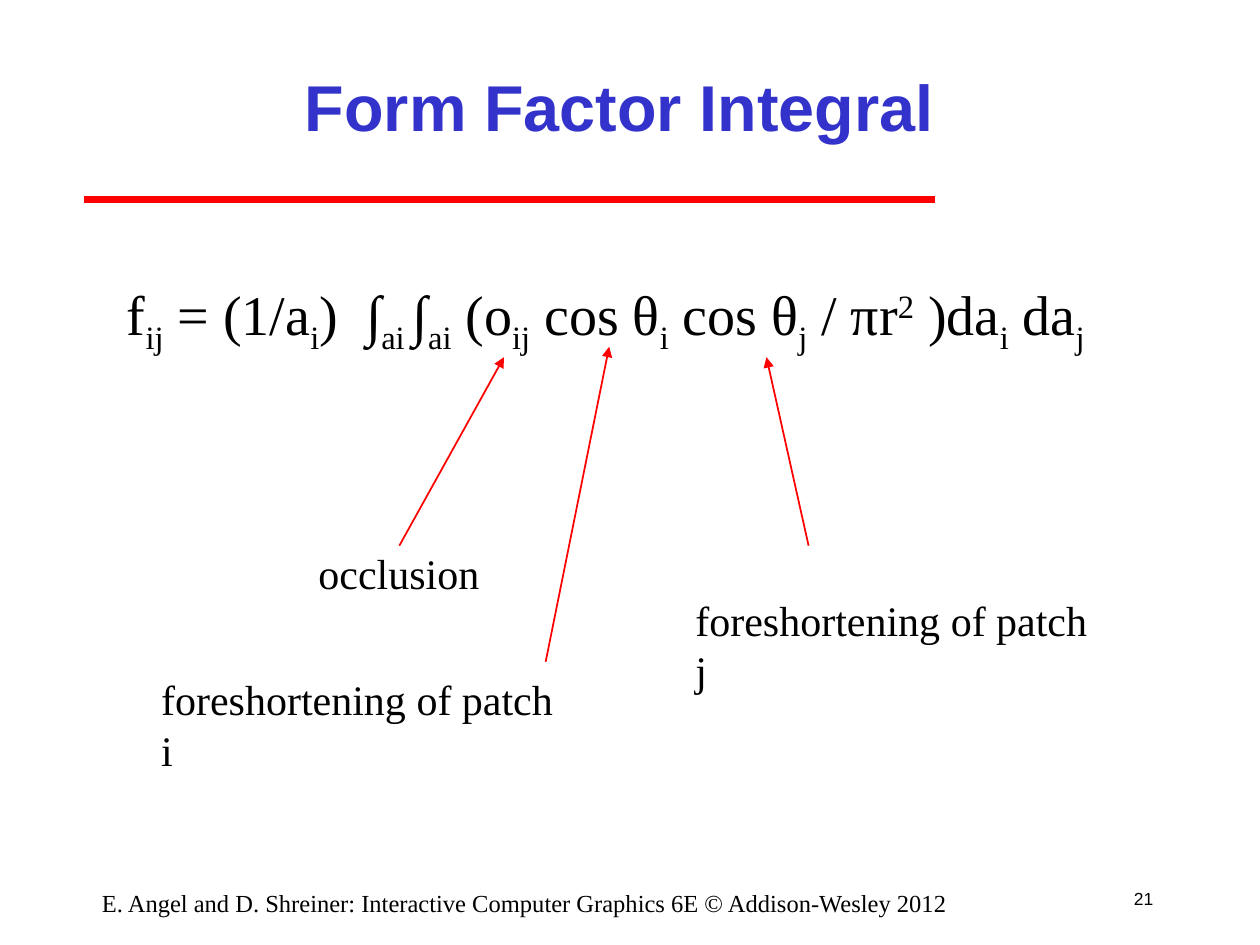
from lxml.etree import SubElement
from pptx import Presentation
from pptx.dml.color import RGBColor
from pptx.enum.shapes import MSO_CONNECTOR
from pptx.enum.text import MSO_ANCHOR, MSO_AUTO_SIZE, PP_ALIGN
from pptx.oxml.ns import qn
from pptx.util import Cm, Pt

COLORS = {"title": "3333CC", "text": "000000", "accent": "FF0000"}
SERIF = "Times New Roman"
SANS = "Arial"
SUBSCRIPT = -25000
SUPERSCRIPT = 30000

FORMULA = [
    ("f", 0), ("ij", SUBSCRIPT), (" = (1/a", 0), ("i", SUBSCRIPT),
    (")  ∫", 0), ("ai ", SUBSCRIPT), ("∫", 0), ("ai", SUBSCRIPT),
    (" (o", 0), ("ij", SUBSCRIPT), (" cos θ", 0), ("i", SUBSCRIPT),
    (" cos θ", 0), ("j", SUBSCRIPT), (" / πr", 0), ("2", SUPERSCRIPT),
    (" )da", 0), ("i", SUBSCRIPT), (" da", 0), ("j", SUBSCRIPT),
]
LABELS = [
    ("occlusion", 6.17, 10.92, 3.76),
    ("foreshortening of patch i", 3, 13.46, 8.84),
    ("foreshortening of patch j", 13.77, 11.86, 8.84),
]
ARROWS = [
    (8.05, 11, 10.16, 7.2),
    (11, 13.34, 12.28, 6.99),
    (16.3, 11, 15.45, 7.2),
]


def place(shape, left, top, width, height):
    shape.left, shape.top = Cm(left), Cm(top)
    shape.width, shape.height = Cm(width), Cm(height)


def style_paragraph(para, size, font=SERIF, color="text", bold=False, align=PP_ALIGN.LEFT):
    para.alignment = align
    para.font.size = Pt(size)
    para.font.name = font
    para.font.bold = bold
    para.font.color.rgb = RGBColor.from_string(COLORS[color])


def add_title(slide, text):
    title = slide.shapes.title
    place(title, 3.81, 0.64, 17.35, 2.96)
    frame = title.text_frame
    frame.text = text
    frame.auto_size = MSO_AUTO_SIZE.NONE
    frame.vertical_anchor = MSO_ANCHOR.MIDDLE
    style_paragraph(frame.paragraphs[0], 37, SANS, "title", True, PP_ALIGN.CENTER)


def add_text(slide, spans, bounds, size, wrap=False, anchor=MSO_ANCHOR.TOP, **style):
    box = slide.shapes.add_textbox(*(Cm(value) for value in bounds))
    frame = box.text_frame
    frame.word_wrap = wrap
    frame.vertical_anchor = anchor
    para = frame.paragraphs[0]
    style_paragraph(para, size, **style)
    for text, baseline in spans:
        span = para.add_run()
        span.text = text
        if baseline:
            span.font._element.set("baseline", str(baseline))


def add_line(slide, points, width, arrow=False):
    line = slide.shapes.add_connector(
        MSO_CONNECTOR.STRAIGHT, *(Cm(value) for value in points)
    )
    line.line.color.rgb = RGBColor.from_string(COLORS["accent"])
    line.line.width = Pt(width)
    if arrow:
        SubElement(line.line._get_or_add_ln(), qn("a:tailEnd"), type="triangle")
    SubElement(line._element.spPr, qn("a:effectLst"))


def main():
    deck = Presentation()
    deck.slide_width, deck.slide_height = Cm(25.4), Cm(19.05)
    page = deck.slides.add_slide(deck.slide_layouts[5])

    add_line(page, (1.7, 4.02, 18.85, 4.02), 4)
    add_title(page, "Form Factor Integral")
    add_text(page, FORMULA, (2.31, 5.51, 19.94, 1.8), 32)
    for text, left, top, width in LABELS:
        add_text(page, [(text, 0)], (left, top, width, 1.27), 24)
    for points in ARROWS:
        add_line(page, points, 1, arrow=True)

    footer = "E. Angel and D. Shreiner: Interactive Computer Graphics 6E © Addison-Wesley 2012"
    add_text(page, [(footer, 0)], (1.27, 17.78, 18.62, 0.64), 14,
             wrap=True, align=PP_ALIGN.CENTER)
    add_text(page, [("21", 0)], (22.43, 17.58, 1.07, 1.07), 10,
             anchor=MSO_ANCHOR.MIDDLE, font=SANS, align=PP_ALIGN.RIGHT)

    deck.save("out.pptx")


if __name__ == "__main__":
    main()
